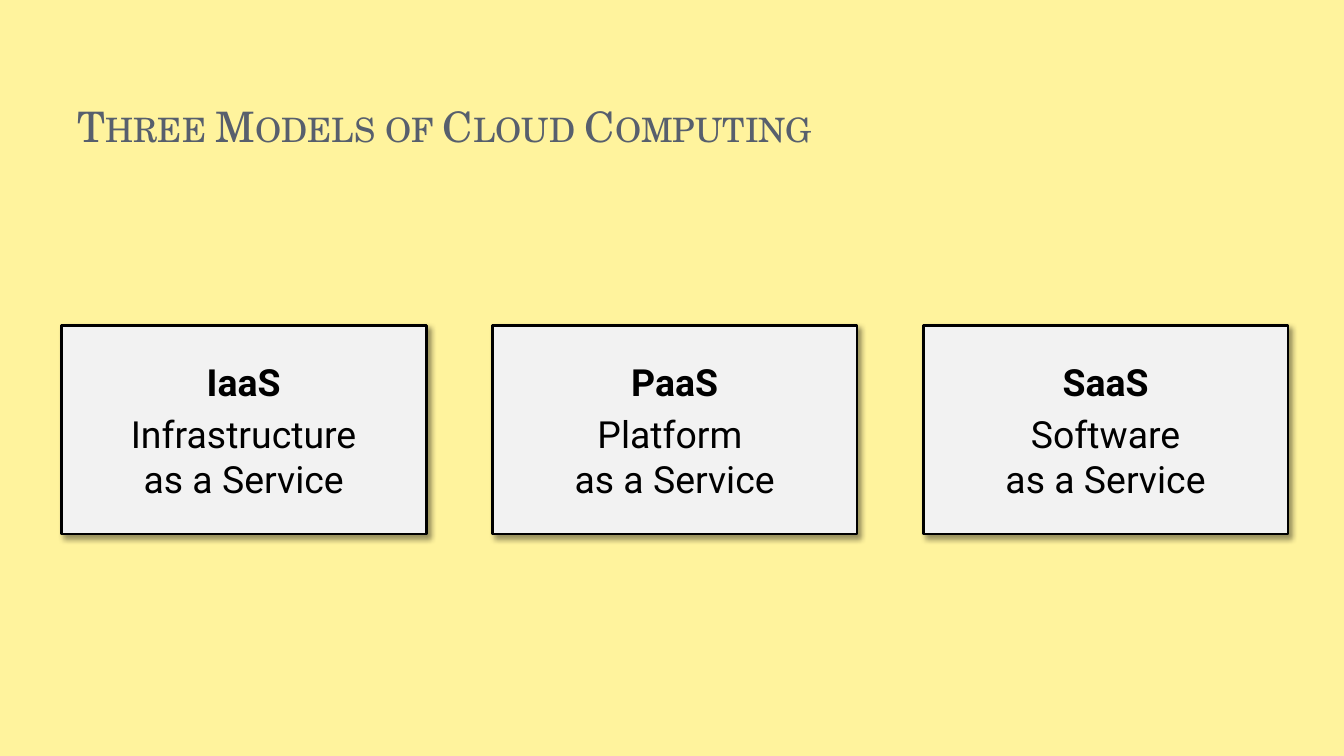
from lxml import etree
from pptx import Presentation
from pptx.dml.color import RGBColor
from pptx.enum.shapes import MSO_SHAPE
from pptx.enum.text import MSO_ANCHOR, PP_ALIGN
from pptx.oxml import parse_xml
from pptx.oxml.ns import nsdecls
from pptx.util import Cm, Pt

RECTANGLE = MSO_SHAPE.RECTANGLE
MIDDLE, BOTTOM = MSO_ANCHOR.MIDDLE, MSO_ANCHOR.BOTTOM
LEFT, CENTER = PP_ALIGN.LEFT, PP_ALIGN.CENTER
TITLE_ONLY = 5

COLORS = {
    "background": "FFF39D",
    "title": "575F6D",
    "card": "F2F2F2",
    "ink": "000000",
}
MODELS = [
    ("IaaS", "Infrastructure\nas a Service"),
    ("PaaS", "Platform \nas a Service"),
    ("SaaS", "Software\nas a Service"),
]
CARD_LEFT, CARD_TOP = 1.55, 8.2
CARD_WIDTH, CARD_HEIGHT = 9.19, 5.26
CARD_PITCH = 10.86


class SlideBuilder:
    title_font = "TeX Gyre Schola"
    body_font = "Roboto"

    def __init__(self, presentation):
        layout = presentation.slide_layouts[TITLE_ONLY]
        self.slide = presentation.slides.add_slide(layout)
        self.paint(self.slide.background.fill, "background")

    def paint(self, fill, color):
        fill.solid()
        fill.fore_color.rgb = RGBColor.from_string(COLORS[color])

    def style(self, font, name, size, color, bold=False):
        font.name, font.size, font.bold = name, Pt(size), bold
        font.color.rgb = RGBColor.from_string(COLORS[color])

    def title(self, text, left, top, width, height):
        shape = self.slide.shapes.title
        shape.left, shape.top = Cm(left), Cm(top)
        shape.width, shape.height = Cm(width), Cm(height)
        frame = shape.text_frame
        frame.text = text
        frame.vertical_anchor = BOTTOM
        paragraph = frame.paragraphs[0]
        paragraph.alignment = LEFT
        self.style(paragraph.font, self.title_font, 30, "title")
        paragraph.runs[0].font._element.set("cap", "small")

    def card(self, heading, description, left, top, width, height):
        shape = self.slide.shapes.add_shape(
            RECTANGLE, Cm(left), Cm(top), Cm(width), Cm(height))
        self.paint(shape.fill, "card")
        self.paint(shape.line.fill, "ink")
        shape.line.width = Pt(2)
        self.drop_shadow(shape)
        frame = shape.text_frame
        frame.word_wrap = True
        frame.vertical_anchor = MIDDLE
        frame.margin_left = frame.margin_right = Cm(0.33)
        frame.margin_top = frame.margin_bottom = Cm(0.18)
        self.card_line(frame.paragraphs[0], heading, bold=True)
        self.card_line(frame.add_paragraph(), description)

    def card_line(self, paragraph, text, bold=False):
        paragraph.text = text
        paragraph.alignment = CENTER
        paragraph.space_before = Pt(5.3)
        self.style(paragraph.font, self.body_font, 26.7, "ink", bold)

    def drop_shadow(self, shape):
        """Give the shape a soft shadow towards the lower right."""
        shape.shadow.inherit = False
        effects = shape._element.spPr.find(
            etree.QName(shape._element.nsmap["a"], "effectLst"))
        effects.append(parse_xml(
            f'<a:outerShdw {nsdecls("a")} blurRad="{Pt(4)}" dist="{Pt(3)}" '
            f'dir="2700000" algn="tl" rotWithShape="0">'
            f'<a:srgbClr val="{COLORS["ink"]}"><a:alpha val="40000"/>'
            f'</a:srgbClr></a:outerShdw>'))


def main():
    presentation = Presentation()
    presentation.slide_width, presentation.slide_height = Cm(33.87), Cm(19.05)
    builder = SlideBuilder(presentation)
    builder.title("Three Models of Cloud Computing", 1.7, 0.76, 27.66, 3.18)
    for index, (heading, description) in enumerate(MODELS):
        builder.card(heading, description, CARD_LEFT + index * CARD_PITCH,
                     CARD_TOP, CARD_WIDTH, CARD_HEIGHT)
    presentation.save("out.pptx")


if __name__ == "__main__":
    main()
